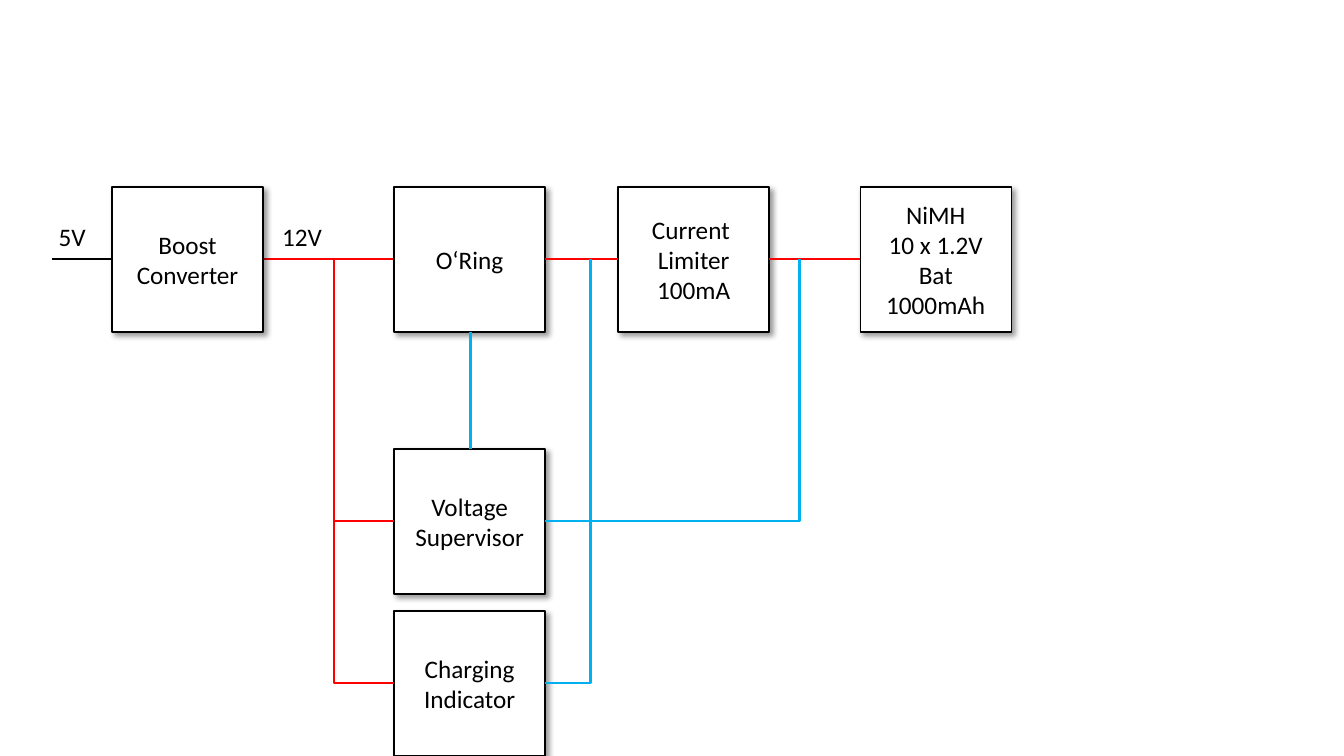
from dataclasses import dataclass

from lxml.etree import SubElement
from pptx import Presentation
from pptx.dml.color import RGBColor as Rgb
from pptx.enum.shapes import MSO_CONNECTOR as Link, MSO_SHAPE as Form
from pptx.enum.text import MSO_ANCHOR as Anchor, MSO_AUTO_SIZE as Fit, PP_ALIGN as Align
from pptx.oxml.ns import qn
from pptx.util import Inches, Pt

SCALE = 914400 / 100.8
COLORS = {"ink": "000000", "paper": "FFFFFF", "power": "FF0000", "sense": "00B0F0"}
BOX_W, BOX_H = 151, 145
TOP, MID, LOW = 187, 449, 611  # tops of the three rows
BUS = 259  # height of the supply line
RING = 394  # left edge of the middle column
RING_END = RING + BOX_W


@dataclass
class Block:
    x: int
    y: int
    text: str


@dataclass
class Label:
    x: int
    y: int
    text: str


@dataclass
class Wire:
    x1: int
    y1: int
    x2: int
    y2: int
    color: str


BLOCKS = [
    Block(112, TOP, "Boost\nConverter"),
    Block(618, TOP, "Current \nLimiter\n100mA"),
    Block(860, TOP, "NiMH\n10 x 1.2V Bat\n1000mAh"),
    Block(RING, TOP, "O‘Ring"),
    Block(RING, MID, "Voltage Supervisor"),
    Block(RING, LOW, "Charging\nIndicator"),
]
LABELS = [Label(39, 216, "5V"), Label(269, 216, "12V")]
SUPPLY = Wire(263, BUS, 618, BUS, "power")
WIRES = [
    Wire(52, BUS, 112, BUS, "ink"),
    Wire(RING_END, BUS, 618, BUS, "power"),
    Wire(769, BUS, 860, BUS, "power"),
    Wire(470, TOP + BOX_H, 470, MID, "sense"),
]
# Taps run down from the first point, then sideways to the second
TAPS = [
    Wire(334, BUS, RING, 521, "power"),
    Wire(334, 521, RING, 683, "power"),
    Wire(799, BUS, RING_END, 521, "sense"),
    Wire(590, BUS, RING_END, 683, "sense"),
]


def emu(px: float) -> int:
    return round(px * SCALE)


def tint(name: str) -> Rgb:
    return Rgb.from_string(COLORS[name])


def write(frame, text: str) -> None:
    frame.text = text
    frame.word_wrap = True
    for para in frame.paragraphs:
        para.alignment = Align.CENTER
        for run in para.runs:
            run.font.name = "Calibri"
            run.font.size = Pt(18)
            run.font.color.rgb = tint("ink")


def shade(shape) -> None:
    shape.shadow.inherit = False
    effects = shape.element.spPr.find(qn("a:effectLst"))
    outer = SubElement(effects, qn("a:outerShdw"), blurRad=str(Pt(4)), dist=str(Pt(3)),
                       dir=str(45 * 60000), algn="tl", rotWithShape="0")
    color = SubElement(outer, qn("a:srgbClr"), val=COLORS["ink"])
    SubElement(color, qn("a:alpha"), val="40000")


def draw_block(slide, block: Block) -> None:
    shape = slide.shapes.add_shape(Form.RECTANGLE, emu(block.x), emu(block.y),
                                   emu(BOX_W), emu(BOX_H))
    shape.fill.solid()
    shape.fill.fore_color.rgb = tint("paper")
    shape.line.color.rgb = tint("ink")
    shape.line.width = Pt(1)
    shade(shape)
    shape.text_frame.vertical_anchor = Anchor.MIDDLE
    write(shape.text_frame, block.text)


def draw_label(slide, label: Label) -> None:
    box = slide.shapes.add_textbox(emu(label.x), emu(label.y), emu(66), emu(40))
    write(box.text_frame, label.text)
    box.text_frame.auto_size = Fit.SHAPE_TO_FIT_TEXT


def draw_wire(slide, wire: Wire, kind=Link.STRAIGHT):
    line = slide.shapes.add_connector(kind, emu(wire.x1), emu(wire.y1),
                                      emu(wire.x2), emu(wire.y2))
    line.line.color.rgb = tint(wire.color)
    line.line.width = Pt(2)
    SubElement(line.element.spPr, qn("a:effectLst"))
    return line


def draw_tap(slide, tap: Wire) -> None:
    # The two-leg elbow starts sideways, so lay it flat and turn it upright
    mid_x, mid_y = (tap.x1 + tap.x2) / 2, (tap.y1 + tap.y2) / 2
    half_w, half_h = (tap.y2 - tap.y1) / 2, abs(tap.x2 - tap.x1) / 2
    flat = Wire(mid_x - half_w, mid_y - half_h, mid_x + half_w, mid_y + half_h, tap.color)
    props = draw_wire(slide, flat, Link.ELBOW).element.spPr
    props.find(qn("a:prstGeom")).set("prst", "bentConnector2")
    frame = props.find(qn("a:xfrm"))
    right = tap.x2 > tap.x1
    frame.set("rot", str((270 if right else 90) * 60000))
    if right:
        frame.set("flipH", "1")


deck = Presentation()
deck.slide_width, deck.slide_height = Inches(13.33), Inches(7.5)
slide = deck.slides.add_slide(deck.slide_layouts[6])

# Supply line behind the blocks
draw_wire(slide, SUPPLY)

# Blocks and voltages
for block in BLOCKS:
    draw_block(slide, block)
for label in LABELS:
    draw_label(slide, label)

# Wiring
for wire in WIRES:
    draw_wire(slide, wire)
for tap in TAPS:
    draw_tap(slide, tap)

deck.save("out.pptx")
